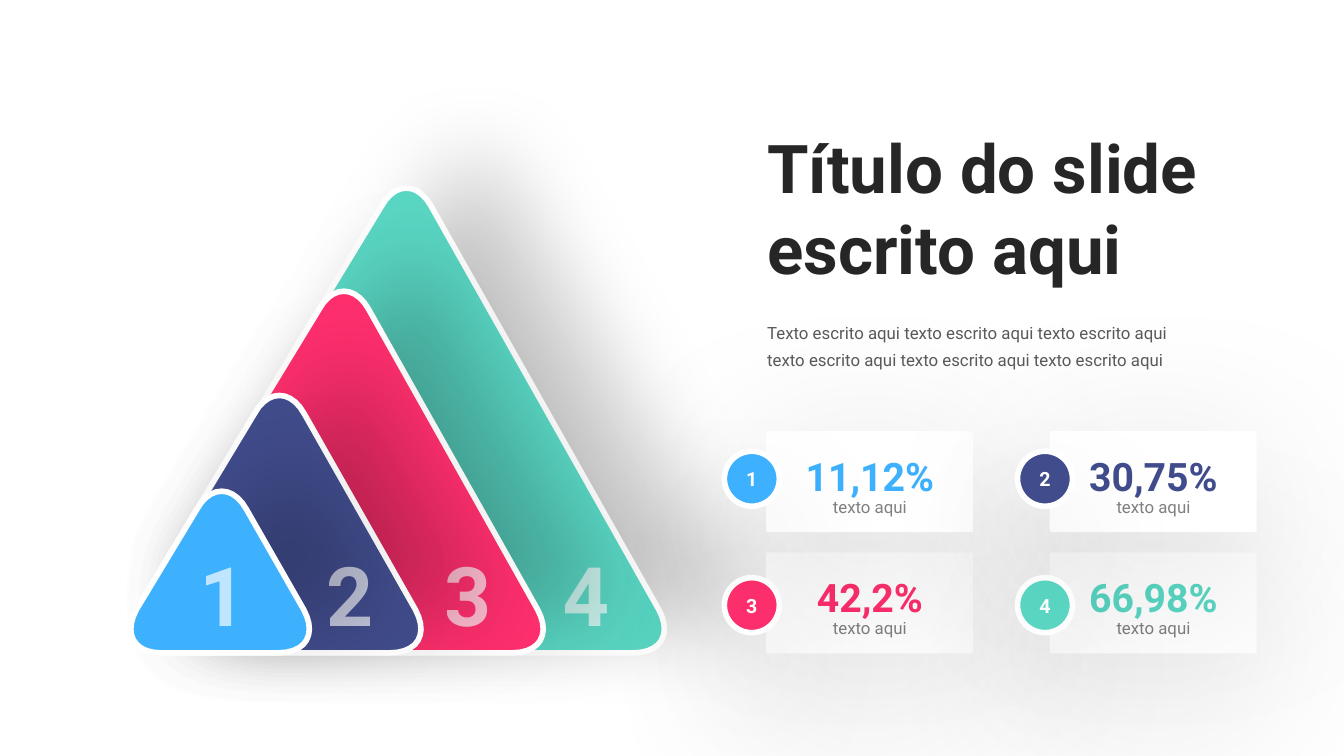
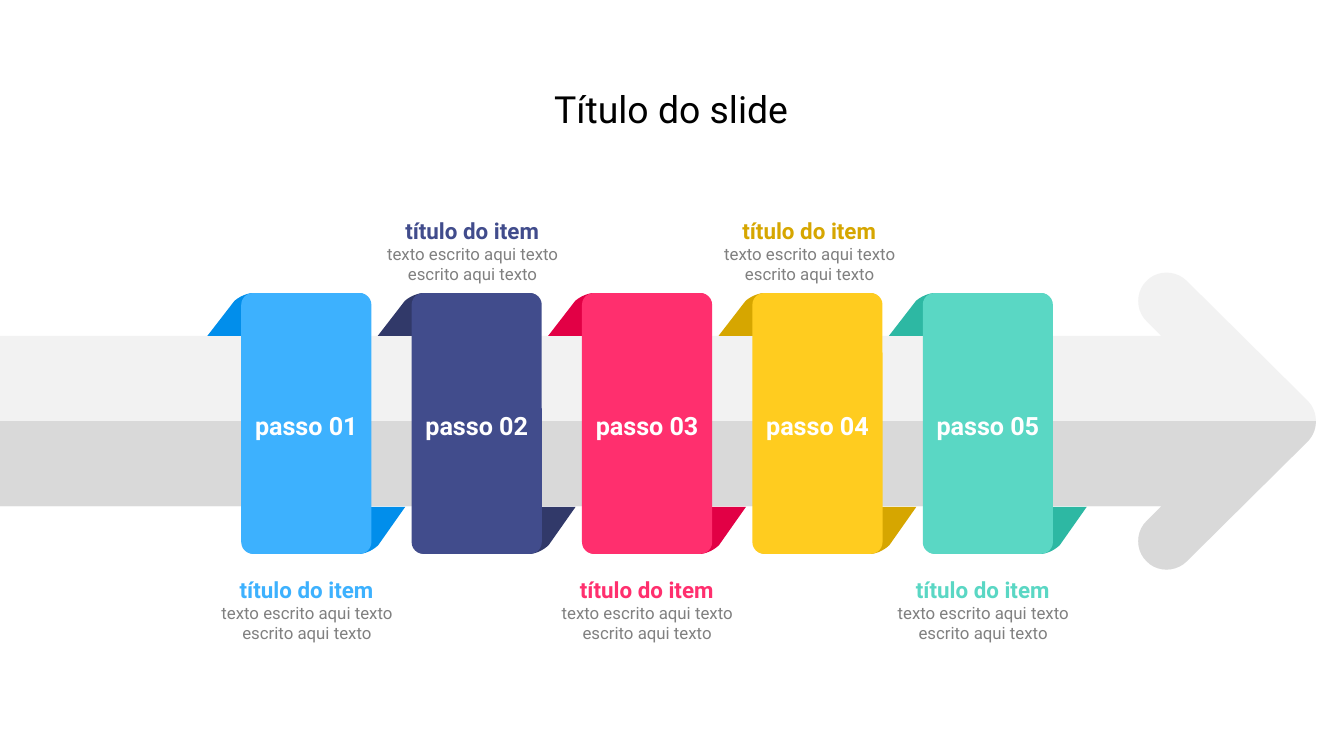
import pptx
import pptx.dml.color
import pptx.enum.shapes
import pptx.enum.text
import pptx.oxml
import pptx.oxml.ns
import pptx.util

Cm = pptx.util.Cm
Shape = pptx.enum.shapes.MSO_SHAPE
Align = pptx.enum.text.PP_ALIGN
Anchor = pptx.enum.text.MSO_ANCHOR

FONT = "Roboto"
WHITE, GREY = "FFFFFF", "808080"
BLUE, NAVY, PINK, YELLOW, TEAL = "3DB1FE", "414C8C", "FF2F6E", "FFCC1F", "5AD7C4"
DARK_BLUE, DARK_NAVY, DARK_PINK = "018EEB", "313969", "E20045"
DARK_YELLOW, DARK_TEAL = "D6A600", "2DB8A3"
NAMESPACE = pptx.oxml.ns.nsdecls("a")


def colour(text):
    return pptx.dml.color.RGBColor.from_string(text)


def trace(segments, steps=10):
    points = []
    for part in segments:
        if len(part) == 2:
            points.append(part)
            continue
        start = points[-1]
        for step in range(1, steps + 1):
            t = step / steps
            u = 1 - t
            weights = (u ** 3, 3 * u * u * t, 3 * u * t * t, t ** 3)
            points.append(tuple(
                sum(w * v for w, v in zip(weights, (start[axis],) + part[axis::2]))
                for axis in (0, 1)))
    return points


class Builder:
    def __init__(self):
        self.deck = pptx.Presentation()
        self.deck.slide_width = Cm(25.4)
        self.deck.slide_height = Cm(14.29)
        self.page = None

    def add_page(self):
        self.page = self.deck.slides.add_slide(self.deck.slide_layouts[5])
        self.page.background.fill.solid()
        self.page.background.fill.fore_color.rgb = colour(WHITE)

    def put_text(self, frame, text, size, hue, bold=False, align=Align.LEFT,
                 spacing=None, inset=None, alpha=None, anchor=Anchor.TOP, grow=True):
        frame.word_wrap = True
        frame.vertical_anchor = anchor
        fit = pptx.enum.text.MSO_AUTO_SIZE
        frame.auto_size = fit.SHAPE_TO_FIT_TEXT if grow else fit.NONE
        if inset is not None:
            frame.margin_left = frame.margin_right = Cm(inset)
            frame.margin_top = frame.margin_bottom = Cm(inset)
        para = frame.paragraphs[0]
        para.alignment = align
        if spacing:
            para.line_spacing = spacing
        span = para.add_run()
        span.text = text
        span.font.name = FONT
        span.font.size = pptx.util.Pt(size)
        span.font.bold = bold
        span.font.color.rgb = colour(hue)
        if alpha:
            for node in span._r.iter(pptx.oxml.ns.qn("a:srgbClr")):
                node.append(pptx.oxml.parse_xml(
                    f'<a:alpha {NAMESPACE} val="{alpha * 1000}"/>'))

    def title(self, area, text, size, hue, **style):
        box = self.page.shapes.title
        box.left, box.top, box.width, box.height = map(Cm, area)
        self.put_text(box.text_frame, text, size, hue, **style)

    def text(self, area, text, size, hue, **style):
        box = self.page.shapes.add_textbox(*map(Cm, area))
        self.put_text(box.text_frame, text, size, hue, **style)

    def paint(self, shape, fill, border=None, shadow=None):
        shape.fill.solid()
        shape.fill.fore_color.rgb = colour(fill)
        if border:
            shape.line.color.rgb = colour(WHITE)
            shape.line.width = pptx.util.Pt(border)
        else:
            shape.line.fill.background()
        shape.shadow.inherit = False
        if shadow:
            alpha, blur, distance, angle = shadow
            effects = shape._element.spPr.find(pptx.oxml.ns.qn("a:effectLst"))
            effects.append(pptx.oxml.parse_xml(
                f'<a:outerShdw {NAMESPACE}'
                f' blurRad="{pptx.util.Pt(blur)}" dist="{pptx.util.Pt(distance)}"'
                f' dir="{angle * 60000}" algn="ctr" rotWithShape="0">'
                f'<a:srgbClr val="000000"><a:alpha val="{alpha * 1000}"/></a:srgbClr>'
                f'</a:outerShdw>'))

    def shape(self, kind, area, fill, adjust=None, **style):
        shape = self.page.shapes.add_shape(kind, *map(Cm, area))
        if adjust is not None:
            shape.adjustments[0] = adjust
        self.paint(shape, fill, **style)
        return shape

    def outline(self, points, fill, left=0, top=0, scale_x=1, scale_y=1, **style):
        placed = [(Cm(left + scale_x * x), Cm(top + scale_y * y)) for x, y in points]
        pen = self.page.shapes.build_freeform(*placed[0])
        pen.add_line_segments(placed[1:], close=True)
        self.paint(pen.convert_to_shape(), fill, **style)


def triangle(apex, shoulder, right):
    left, foot, base = 2.58, 11.52, 12.34
    return trace([
        (apex + 0.47, shoulder),
        (apex + 0.22, shoulder - 0.46, apex - 0.22, shoulder - 0.46,
         apex - 0.47, shoulder),
        (left, foot),
        (left - 0.25, foot + 0.46, left - 0.05, base, left + 0.46, base),
        (right - 0.48, base),
        (right + 0.05, base, right + 0.25, foot + 0.46, right, foot),
    ])


def pyramid_page(build):
    build.add_page()
    build.title((14.25, 2.26, 10.03, 3.33), "Título do slide escrito aqui",
                36, "262626", bold=True)

    layers = [
        ("4", TEAL, 7.68, 3.9, 12.45, 10.39),
        ("3", PINK, 6.5, 5.85, 10.16, 8.15),
        ("2", NAVY, 5.28, 7.82, 7.85, 5.92),
        ("1", BLUE, 4.19, 9.63, 5.74, 3.53),
    ]
    for number, hue, apex, shoulder, right, number_left in layers:
        build.outline(triangle(apex, shoulder, right), hue,
                      border=3, shadow=(20, 48, 40, 335))
        build.text((number_left, 10.16, 1.55, 2.18), number, 44, WHITE,
                   bold=True, alpha=67)

    cards = [
        ("3", "42,2%", PINK, 0, 1),
        ("4", "66,98%", TEAL, 1, 1),
        ("1", "11,12%", BLUE, 0, 0),
        ("2", "30,75%", NAVY, 1, 0),
    ]
    for number, value, hue, column, row in cards:
        left, top = 14.48 + 5.36 * column, 8.15 + 2.29 * row
        build.shape(Shape.ROUNDED_RECTANGLE, (left, top, 3.91, 1.91), WHITE,
                    adjust=0.02, shadow=(15, 100, 21, 90))
        build.text((left + 0.18, top + 1.03, 3.56, 0.71), "texto aqui", 9, GREY,
                   align=Align.CENTER, spacing=1.2)
        build.text((left + 0.36, top + 0.09, 3.2, 1.3), value, 21, hue,
                   bold=True, align=Align.CENTER, spacing=1.2)

    build.text((14.25, 5.87, 8.33, 1.22),
               "Texto escrito aqui texto escrito aqui texto escrito aqui "
               "texto escrito aqui texto escrito aqui texto escrito aqui",
               9, "595959", spacing=1.3)

    for number, value, hue, column, row in cards:
        badge = build.shape(
            Shape.OVAL, (13.69 + 5.54 * column, 8.53 + 2.39 * row, 1.04, 1.04),
            hue, border=3, shadow=(15, 66, 30, 90))
        build.put_text(badge.text_frame, number, 10.5, WHITE, bold=True, inset=0,
                       align=Align.CENTER, anchor=Anchor.MIDDLE, grow=False)


def steps_page(build):
    build.add_page()
    build.title((9.42, 1.57, 6.53, 0.97), "Título do slide", 20, "000000",
                align=Align.CENTER, inset=0.05)

    axis = 7.96
    half_arrow = trace([
        (0, 0), (0, -1.61), (21.95, -1.61), (21.67, -1.89),
        (21.46, -2.09, 21.46, -2.45, 21.67, -2.65),
        (21.87, -2.86, 22.22, -2.86, 22.43, -2.65),
        (24.71, -0.39),
        (24.82, -0.28, 24.87, -0.14, 24.87, 0),
    ])
    lower_half = [(x, -y) for x, y in reversed(half_arrow)]
    build.outline(half_arrow + lower_half, "F2F2F2", top=axis)
    build.outline(lower_half, "D9D9D9", top=axis)

    fold = trace([
        (0.23, 0), (2.2, 0), (2.36, 0, 2.41, 0.08, 2.36, 0.15),
        (1.85, 0.81), (-0.64, 0.81), (-0.13, 0.15),
        (-0.05, 0.08, 0.1, 0, 0.23, 0),
    ])
    steps = [
        (BLUE, DARK_BLUE, BLUE, 3.73),
        (NAVY, DARK_NAVY, NAVY, 6.86),
        (PINK, DARK_PINK, PINK, 10.16),
        (YELLOW, DARK_YELLOW, DARK_YELLOW, 13.23),
        (TEAL, DARK_TEAL, TEAL, 16.51),
    ]
    top, width, height = 5.54, 2.46, 4.93
    for index, (hue, shade, heading, caption_left) in enumerate(steps):
        left = 4.56 + 3.22 * index
        build.outline(fold, shade, left, top)
        build.outline(fold, shade, left + width, top + height, -1, -1.1)
        build.shape(Shape.ROUNDED_RECTANGLE, (left, top, width, height), hue,
                    adjust=0.09)
        build.text((left, 7.47, width, 0.79), f"passo {index + 1:02d}", 13.5, WHITE,
                   bold=True, align=Align.CENTER, spacing=1.5, inset=0)
        caption_top = 3.86 if index % 2 else 10.64
        build.text((caption_left, caption_top + 0.75, 4.14, 0.76),
                   "texto escrito aqui texto escrito aqui texto", 9, GREY,
                   align=Align.CENTER, inset=0)
        build.text((caption_left + 0.25, caption_top, 3.63, 0.71), "título do item",
                   12, heading, bold=True, align=Align.CENTER, spacing=1.5, inset=0)


def main():
    build = Builder()
    pyramid_page(build)
    steps_page(build)
    build.deck.save("out.pptx")


if __name__ == "__main__":
    main()
